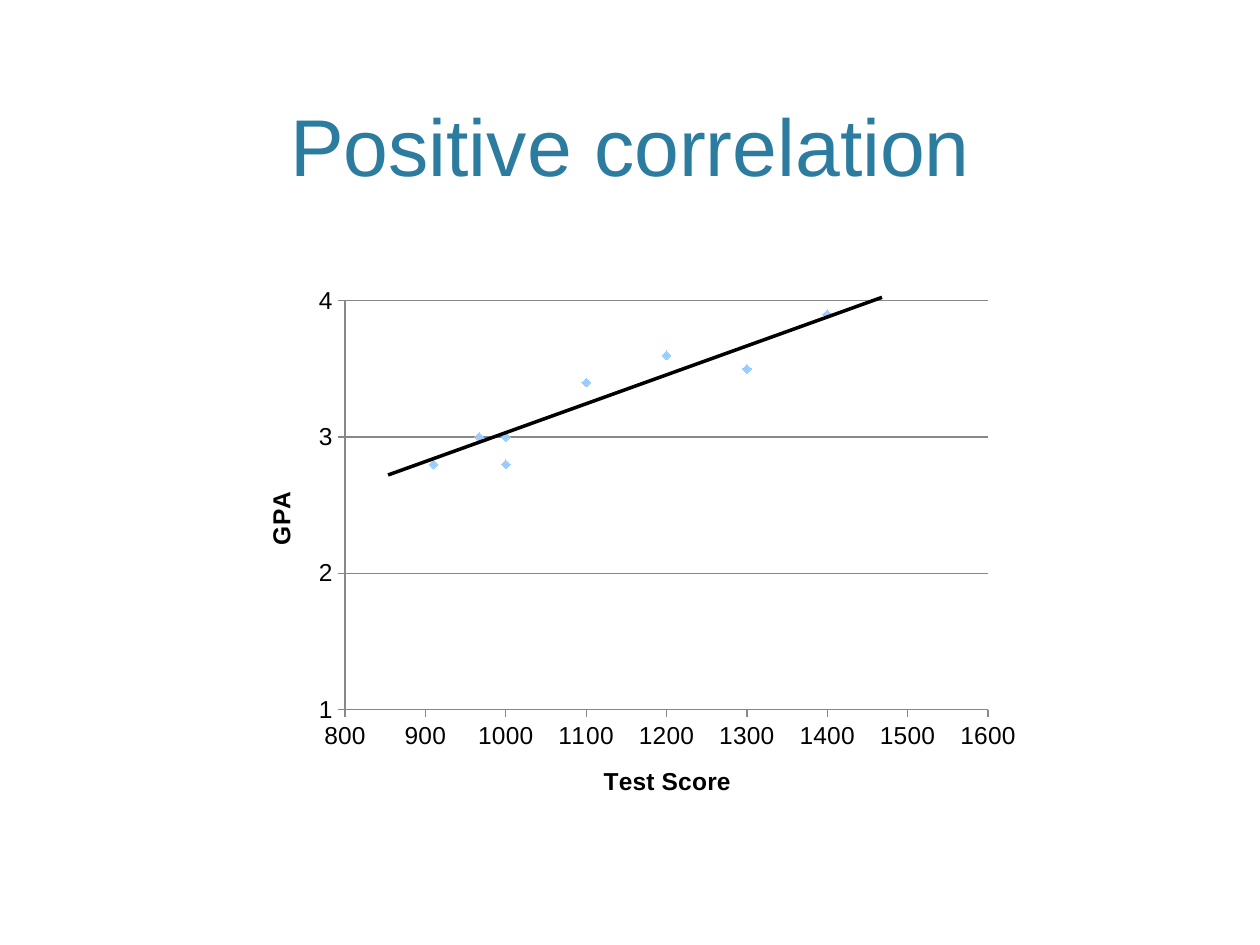
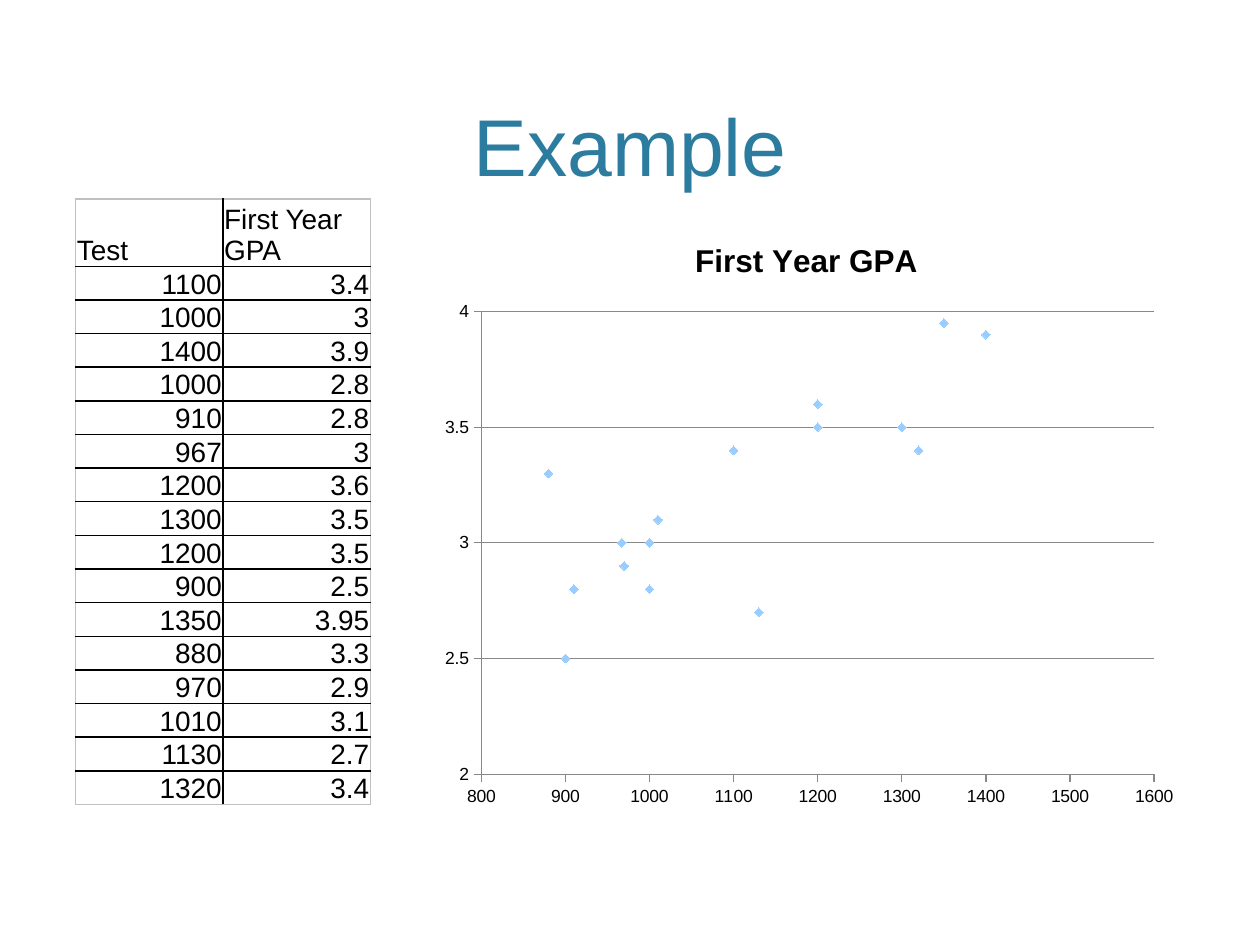
from dataclasses import dataclass
from typing import NamedTuple, Optional

import pptx
import pptx.chart.axis
import pptx.chart.data
import pptx.dml.color
import pptx.enum.chart
import pptx.enum.shapes
import pptx.enum.text
import pptx.oxml
import pptx.oxml.ns
import pptx.slide
import pptx.table
import pptx.text.text
import pptx.util
from lxml import etree

SLIDE_WIDTH = pptx.util.Inches(10)
SLIDE_HEIGHT = pptx.util.Inches(7.5)
COLUMN = SLIDE_WIDTH / 100
ROW = SLIDE_HEIGHT / 75

FONT = "Arial"
COLOURS = {
    "title": "2C7C9F",
    "text": "000000",
    "marker": "99CCFF",
    "axis": "888888",
    "table_edge": "C0C0C0",
}


class Area(NamedTuple):
    """Left and width in grid columns, top and height in grid rows."""
    left: float
    top: float
    width: float
    height: float

    def lengths(self) -> tuple[int, ...]:
        return (columns(self.left), rows(self.top),
                columns(self.width), rows(self.height))


class Score(NamedTuple):
    test: int
    gpa: float


class Scale(NamedTuple):
    minimum: float
    maximum: float
    step: float
    title: Optional[str] = None


@dataclass(frozen=True)
class ScatterPlot:
    area: Area
    inner: Area  # plot area as shares of the chart
    name: str
    scores: list[Score]
    horizontal: Scale
    vertical: Scale
    font_size: int
    title: Optional[str] = None


SCORES = [
    Score(1100, 3.4), Score(1000, 3), Score(1400, 3.9), Score(1000, 2.8),
    Score(910, 2.8), Score(967, 3), Score(1200, 3.6), Score(1300, 3.5),
    Score(1200, 3.5), Score(900, 2.5), Score(1350, 3.95), Score(880, 3.3),
    Score(970, 2.9), Score(1010, 3.1), Score(1130, 2.7), Score(1320, 3.4),
]
TITLE_AREA = Area(6, 1.2, 88, 14.6)
CORRELATION_PLOT = ScatterPlot(
    Area(19.2, 21.7, 63, 43.3), Area(0.13, 0.05, 0.81, 0.75), "Series 1",
    SCORES[:8], Scale(800, 1600, 100, "Test Score"), Scale(1, 4, 1, "GPA"), 14)
EXAMPLE_PLOT = ScatterPlot(
    Area(34, 17.1, 60, 47.7), Area(0.07, 0.16, 0.89, 0.77), "First Year GPA",
    SCORES, Scale(800, 1600, 100), Scale(2, 4, 0.5), 10, "First Year GPA")
TREND_START, TREND_END = (30.8, 37.7), (70, 23.6)
TABLE_HEADINGS = ("Test", "First Year GPA")
TABLE_LEFT, TABLE_TOP, TABLE_COLUMN = 6, 15.8, 11.7
HEADING_HEIGHT, SCORE_HEIGHT = 5.0, 2.6


def columns(count: float) -> int:
    return round(count * COLUMN)


def rows(count: float) -> int:
    return round(count * ROW)


def colour(name: str) -> pptx.dml.color.RGBColor:
    return pptx.dml.color.RGBColor.from_string(COLOURS[name])


def add_run(paragraph: pptx.text.text._Paragraph, text: str, size: float,
            colour_name: str = "text", bold: bool = False) -> None:
    run = paragraph.add_run()
    run.text = text
    run.font.name = FONT
    run.font.size = pptx.util.Pt(size)
    run.font.bold = bold
    run.font.color.rgb = colour(colour_name)


def add_titled_slide(presentation, title: str) -> pptx.slide.Slide:
    slide = presentation.slides.add_slide(presentation.slide_layouts[6])
    frame = slide.shapes.add_textbox(*TITLE_AREA.lengths()).text_frame
    frame.word_wrap = True
    frame.vertical_anchor = pptx.enum.text.MSO_ANCHOR.BOTTOM
    paragraph = frame.paragraphs[0]
    paragraph.alignment = pptx.enum.text.PP_ALIGN.CENTER
    add_run(paragraph, title, 46, "title")
    return slide


def style_axis(axis: pptx.chart.axis._BaseAxis, scale: Scale, size: int,
               title_rotation: int) -> None:
    axis.minimum_scale = scale.minimum
    axis.maximum_scale = scale.maximum
    axis.major_unit = scale.step
    axis.major_tick_mark = pptx.enum.chart.XL_TICK_MARK.OUTSIDE
    axis.minor_tick_mark = pptx.enum.chart.XL_TICK_MARK.NONE
    axis.format.line.color.rgb = colour("axis")
    axis.format.line.width = pptx.util.Pt(0.75)
    axis.has_title = scale.title is not None
    if scale.title:
        frame = axis.axis_title.text_frame
        add_run(frame.paragraphs[0], scale.title, size, bold=True)
        body = axis.axis_title.element.find(
            ".//" + pptx.oxml.ns.qn("a:bodyPr"))
        body.set("rot", str(title_rotation))
        body.set("vert", "horz")


def fix_plot_area(chart, inner: Area) -> None:
    """Pin the area inside the axes to shares of the chart."""
    plot_area = chart.element.find(".//" + pptx.oxml.ns.qn("c:plotArea"))
    automatic = plot_area.find(pptx.oxml.ns.qn("c:layout"))
    if automatic is not None:
        plot_area.remove(automatic)
    layout = etree.Element(pptx.oxml.ns.qn("c:layout"))
    manual = etree.SubElement(layout, pptx.oxml.ns.qn("c:manualLayout"))
    settings = [("layoutTarget", "inner"), ("xMode", "edge"),
                ("yMode", "edge"), *zip("xywh", inner)]
    for tag, value in settings:
        etree.SubElement(manual, pptx.oxml.ns.qn(f"c:{tag}"), val=str(value))
    plot_area.insert(0, layout)


def add_scatter(slide: pptx.slide.Slide, plot: ScatterPlot) -> None:
    data = pptx.chart.data.XyChartData()
    points = data.add_series(plot.name)
    for score in plot.scores:
        points.add_data_point(score.test, score.gpa)
    chart = slide.shapes.add_chart(
        pptx.enum.chart.XL_CHART_TYPE.XY_SCATTER,
        *plot.area.lengths(), data).chart
    chart.has_legend = False
    chart.font.name = FONT
    chart.font.size = pptx.util.Pt(plot.font_size)
    chart.font.color.rgb = colour("text")
    chart.has_title = plot.title is not None
    if plot.title:
        add_run(chart.chart_title.text_frame.paragraphs[0], plot.title, 18,
                bold=True)

    style_axis(chart.category_axis, plot.horizontal, plot.font_size, 0)
    style_axis(chart.value_axis, plot.vertical, plot.font_size, -5400000)
    chart.category_axis.has_major_gridlines = False
    chart.value_axis.has_major_gridlines = True
    grid = chart.value_axis.major_gridlines.format.line
    grid.color.rgb = colour("axis")
    grid.width = pptx.util.Pt(0.75)

    chart.plots[0].vary_by_categories = False
    series = chart.plots[0].series[0]
    series.format.line.fill.background()
    series.marker.style = pptx.enum.chart.XL_MARKER_STYLE.DIAMOND
    series.marker.size = 5
    series.marker.format.fill.solid()
    series.marker.format.fill.fore_color.rgb = colour("marker")
    series.marker.format.line.fill.background()
    fix_plot_area(chart, plot.inner)


def add_trend_line(slide: pptx.slide.Slide) -> None:
    (start_x, start_y), (end_x, end_y) = TREND_START, TREND_END
    line = slide.shapes.add_connector(
        pptx.enum.shapes.MSO_CONNECTOR.STRAIGHT,
        columns(start_x), rows(start_y), columns(end_x), rows(end_y))
    line.line.color.rgb = colour("text")
    line.line.width = pptx.util.Pt(2)
    properties = line.element.find(pptx.oxml.ns.qn("p:spPr"))
    etree.SubElement(properties, pptx.oxml.ns.qn("a:effectLst"))


def set_borders(cell: pptx.table._Cell, edges: dict[str, bool]) -> None:
    """Draw each side; a true value marks the outer edge of the table."""
    properties = cell._tc.get_or_add_tcPr()
    for position, (side, outer) in enumerate(edges.items()):
        border = etree.Element(pptx.oxml.ns.qn(f"a:ln{side}"),
                               w=str(pptx.util.Pt(1)))
        fill = etree.SubElement(border, pptx.oxml.ns.qn("a:solidFill"))
        etree.SubElement(fill, pptx.oxml.ns.qn("a:srgbClr"),
                         val=COLOURS["table_edge" if outer else "text"])
        properties.insert(position, border)


def add_score_table(slide: pptx.slide.Slide) -> None:
    lines = [TABLE_HEADINGS, *SCORES]
    last_row, last_column = len(lines) - 1, len(TABLE_HEADINGS) - 1
    area = Area(TABLE_LEFT, TABLE_TOP, TABLE_COLUMN * len(TABLE_HEADINGS),
                HEADING_HEIGHT + SCORE_HEIGHT * len(SCORES))
    table = slide.shapes.add_table(
        len(lines), len(TABLE_HEADINGS), *area.lengths()).table
    table.first_row = table.horz_banding = False
    for column in table.columns:
        column.width = columns(TABLE_COLUMN)
    for row_index, values in enumerate(lines):
        heading = row_index == 0
        table.rows[row_index].height = rows(
            HEADING_HEIGHT if heading else SCORE_HEIGHT)
        for column_index, value in enumerate(values):
            cell = table.cell(row_index, column_index)
            cell.fill.background()
            cell.vertical_anchor = pptx.enum.text.MSO_ANCHOR.BOTTOM
            cell.margin_left = cell.margin_right = columns(0.1)
            cell.margin_top = cell.margin_bottom = 0
            paragraph = cell.text_frame.paragraphs[0]
            if not heading:
                paragraph.alignment = pptx.enum.text.PP_ALIGN.RIGHT
            add_run(paragraph, str(value), 16)
            set_borders(cell, {
                "L": column_index == 0, "R": column_index == last_column,
                "T": heading, "B": row_index == last_row})


def main() -> None:
    presentation = pptx.Presentation()
    presentation.slide_width = SLIDE_WIDTH
    presentation.slide_height = SLIDE_HEIGHT

    correlation = add_titled_slide(presentation, "Positive correlation")
    add_scatter(correlation, CORRELATION_PLOT)
    add_trend_line(correlation)

    example = add_titled_slide(presentation, "Example")
    add_score_table(example)
    add_scatter(example, EXAMPLE_PLOT)

    presentation.save("out.pptx")


if __name__ == "__main__":
    main()
